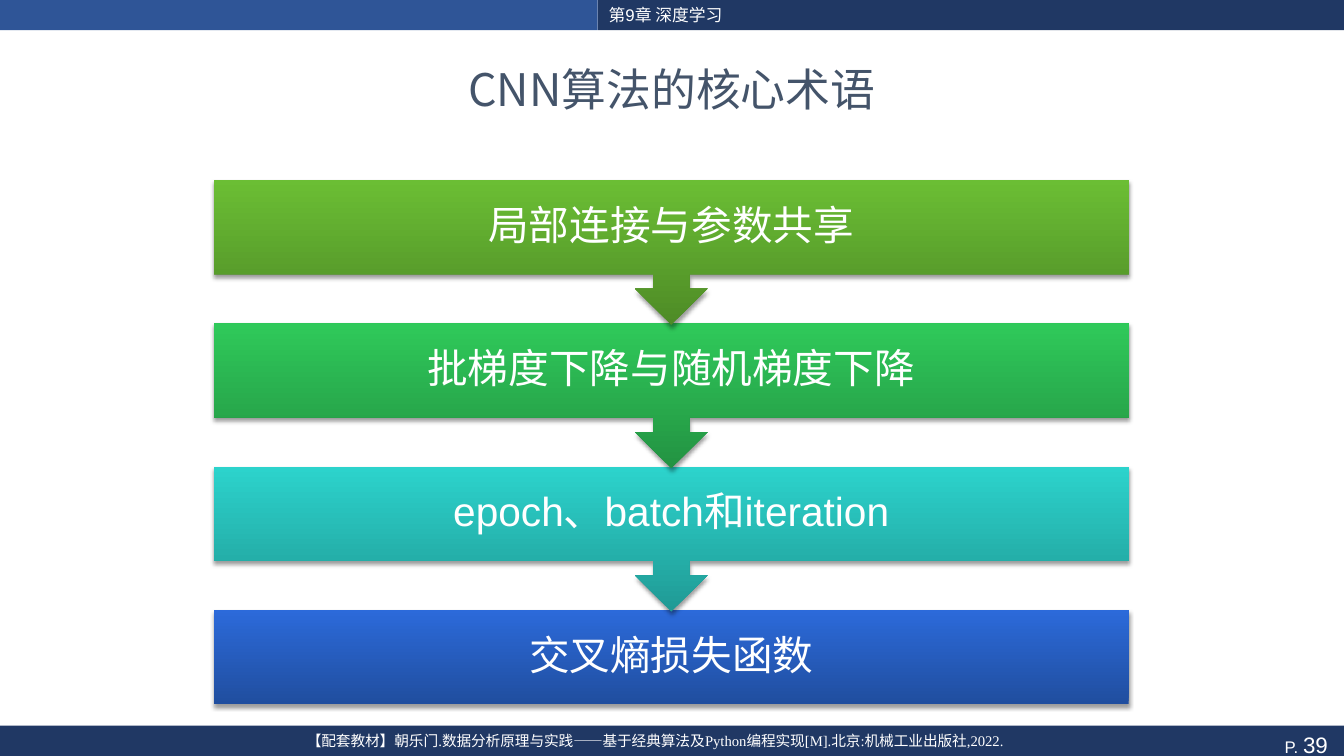
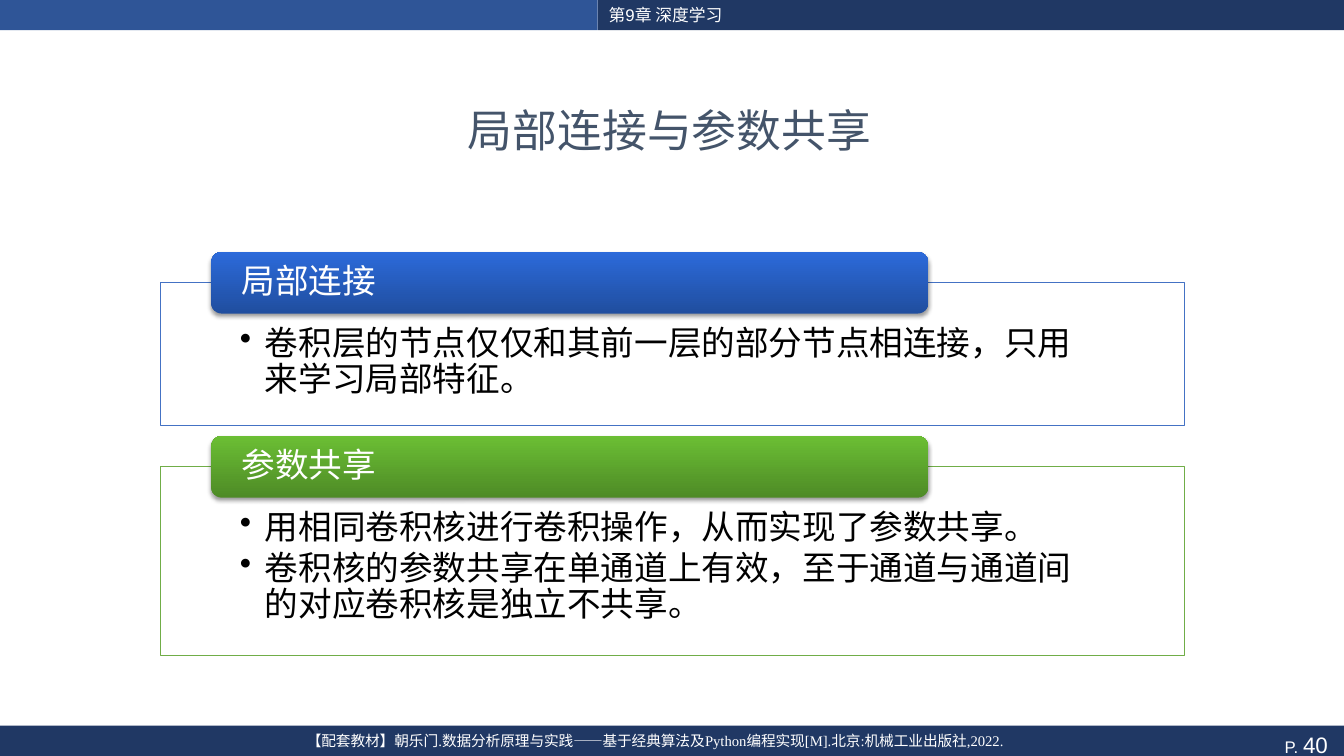
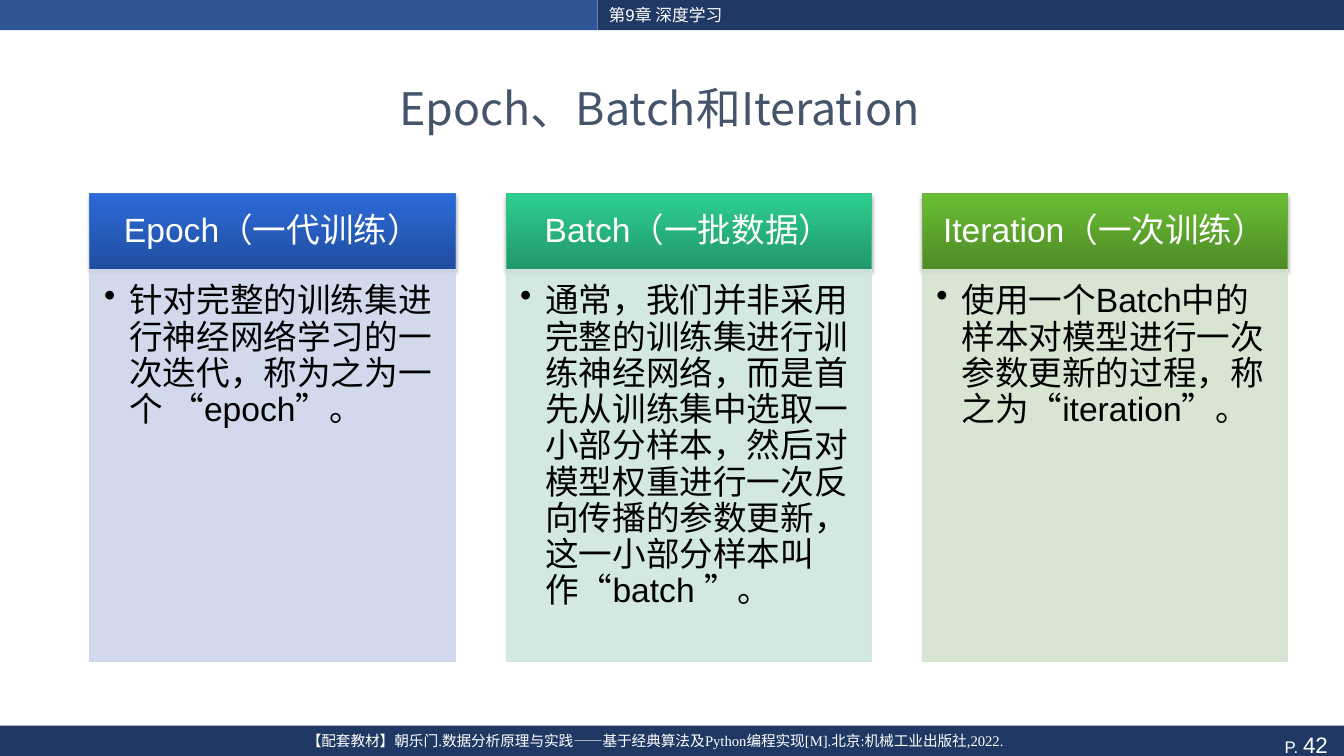
from dataclasses import dataclass

from lxml.etree import SubElement
from pptx import Presentation
from pptx.dml.color import RGBColor
from pptx.enum.shapes import MSO_SHAPE as Shape
from pptx.enum.text import MSO_ANCHOR as Anchor, PP_ALIGN as Align
from pptx.oxml.ns import qn
from pptx.util import Pt


@dataclass(frozen=True)
class Theme:
    navy: str = "203864"
    blue_band: str = "2F5597"
    title: str = "44546A"
    white: str = "FFFFFF"
    black: str = "000000"
    # Gradients run from the bottom colour to the top colour.
    blue: tuple = ("204E9F", "2C6ADA")
    green: tuple = ("4E8B26", "6BBE34")
    emerald: tuple = ("239342", "2FC95A")
    teal: tuple = ("209A95", "2CD3CC")
    mint: tuple = ("21976A", "2DCF91")
    blue_line: str = "4472C4"
    green_line: str = "70AD47"
    mint_line: str = "43BB8D"
    blue_tint: str = "CFD5EA"
    mint_tint: str = "CFE6E0"
    green_tint: str = "D5E3CF"
    body_font: str = "Arial"
    title_font: str = "Noto Sans CJK SC"
    citation_font: str = "Times New Roman"
    title_size: float = 32
    step_size: float = 29
    body_size: float = 24
    page_size: float = 16
    small_size: float = 12
    citation_size: float = 10.5


THEME = Theme()
WIDTH, HEIGHT = 960, 540
BAND_HEIGHT, BAND_SPLIT = 21.6, 427
CHAPTER = "第9章 深度学习"
CITATION = "【配套教材】朝乐门.数据分析原理与实践——基于经典算法及Python编程实现[M].北京:机械工业出版社,2022."


class SlideBuilder:
    def __init__(self):
        self.deck = Presentation()
        self.deck.slide_width, self.deck.slide_height = Pt(WIDTH), Pt(HEIGHT)
        self.page = None

    def start(self, title, title_left, title_top, number):
        """Add a page with its bands, chapter, citation, number and title."""
        self.page = self.deck.slides.add_slide(self.deck.slide_layouts[6])
        footer_top = HEIGHT - BAND_HEIGHT
        self.shape((0, 0, BAND_SPLIT, BAND_HEIGHT), THEME.blue_band)
        footer = self.shape((0, footer_top, WIDTH, BAND_HEIGHT), THEME.navy)
        self.shape((BAND_SPLIT, 0, WIDTH - BAND_SPLIT, BAND_HEIGHT), THEME.navy)
        self.set_text(footer, ["P. "], THEME.small_size, align=Align.RIGHT, anchor=Anchor.TOP)
        span = footer.text_frame.paragraphs[0].add_run()
        span.text = f"{number} "
        self.style_font(span.font, THEME.page_size, THEME.white, THEME.body_font)
        self.label((46, footer_top + 0.7, 844, BAND_HEIGHT), CITATION, THEME.citation_size,
                   font=THEME.citation_font, align=Align.CENTER, anchor=Anchor.TOP)
        self.label((BAND_SPLIT + 0.7, 0, 450, BAND_HEIGHT), CHAPTER, THEME.small_size,
                   anchor=Anchor.TOP)
        self.label((title_left, title_top, 896.4, 64.8), title, THEME.title_size,
                   color=THEME.title, font=THEME.title_font, align=Align.CENTER)

    def shape(self, bounds, fill, kind=Shape.RECTANGLE, line=None, opacity=None):
        """Draw a shape; a pair of fill colours makes a gradient with a shadow."""
        box = self.page.shapes.add_shape(kind, *map(Pt, bounds))
        box.shadow.inherit = False
        if isinstance(fill, tuple):
            box.fill.gradient()
            box.fill.gradient_angle = 90
            for stop, color in zip(box.fill.gradient_stops, fill):
                stop.color.rgb = RGBColor.from_string(color)
            self.cast_shadow(box)
        else:
            box.fill.solid()
            box.fill.fore_color.rgb = RGBColor.from_string(fill)
        if line:
            box.line.color.rgb = RGBColor.from_string(line)
            box.line.width = Pt(0.5)
        else:
            box.line.fill.background()
        if opacity:
            color = box._element.spPr.find(qn("a:solidFill")).find(qn("a:srgbClr"))
            SubElement(color, qn("a:alpha"), val=str(opacity * 1000))
        return box

    def cast_shadow(self, box):
        effects = box._element.spPr.find(qn("a:effectLst"))
        shadow = SubElement(effects, qn("a:outerShdw"), blurRad=str(Pt(3.1)), dist=str(Pt(2)),
                            dir="5400000", algn="ctr", rotWithShape="0")
        color = SubElement(shadow, qn("a:srgbClr"), val=THEME.black)
        SubElement(color, qn("a:alpha"), val="38000")

    def label(self, bounds, text, size, **style):
        box = self.page.shapes.add_textbox(*map(Pt, bounds))
        self.set_text(box, [text], size, **style)

    def set_text(self, box, lines, size, color=THEME.white, font=THEME.body_font,
                 align=Align.LEFT, anchor=Anchor.MIDDLE, insets=(7.2, 3.6, 7.2, 3.6),
                 spacing=None, bullets=False):
        frame = box.text_frame
        frame.text = "\n".join(lines)
        frame.word_wrap = True
        frame.vertical_anchor = anchor
        (frame.margin_left, frame.margin_top,
         frame.margin_right, frame.margin_bottom) = map(Pt, insets)
        for para in frame.paragraphs:
            para.alignment = align
            if spacing:
                para.line_spacing = spacing
            if bullets:
                para.space_after = Pt(3.6)
                self.add_bullet(para)
            for span in para.runs:
                self.style_font(span.font, size, color, font)

    def add_bullet(self, para):
        properties = para._p.get_or_add_pPr()
        properties.set("marL", str(Pt(18)))
        properties.set("indent", str(Pt(-18)))
        SubElement(properties, qn("a:buChar"), char="•")

    def style_font(self, font, size, color, name):
        font.size, font.name = Pt(size), name
        font.color.rgb = RGBColor.from_string(color)

    def heading(self, bounds, text, fill, insets, size=THEME.body_size, align=Align.CENTER,
                **look):
        box = self.shape(bounds, fill, **look)
        self.set_text(box, [text], size, align=align, insets=insets, spacing=0.9)

    def panel(self, bounds, lines, fill, line, insets):
        box = self.shape(bounds, fill, line=line, opacity=90)
        self.set_text(box, lines, THEME.body_size, color=THEME.black, anchor=Anchor.TOP,
                      insets=insets, spacing=0.9, bullets=True)


def add_terms(builder):
    builder.start("CNN算法的核心术语", 31.7, 31, 39)
    steps = [
        ("局部连接与参数共享", THEME.green),
        ("批梯度下降与随机梯度下降", THEME.emerald),
        ("epoch、batch和iteration", THEME.teal),
        ("交叉熵损失函数", THEME.blue),
    ]
    left, top, width, pitch = 152.8, 128.5, 653.5, 102.4
    box_height, callout_height = 67.3, 103.6
    last = len(steps) - 1
    for index, (text, fill) in reversed(list(enumerate(steps))):
        kind, height = ((Shape.RECTANGLE, box_height) if index == last
                        else (Shape.DOWN_ARROW_CALLOUT, callout_height))
        builder.heading((left, top + index * pitch, width, height), text, fill, (16.5,) * 4,
                        size=THEME.step_size, kind=kind)


def add_sharing(builder):
    builder.start("局部连接与参数共享", 30.2, 60.5, 40)
    sections = [
        ("局部连接", THEME.blue, THEME.blue_line, 101.5,
         ["卷积层的节点仅仅和其前一层的部分节点相连接，只用来学习局部特征。"]),
        ("参数共享", THEME.green, THEME.green_line, 134.6,
         ["用相同卷积核进行卷积操作，从而实现了参数共享。",
          "卷积核的参数共享在单通道上有效，至于通道与通道间的对应卷积核是独立不共享。"]),
    ]
    top, tab_height, gap = 180, 44, 8
    for name, fill, line, height, lines in sections:
        panel_top = top + tab_height / 2
        builder.panel((114.5, panel_top, 731.5, height), lines, THEME.white, line,
                      (56.8, 31, 56.8, 13.5))
        builder.heading((151, top, 512, tab_height), name, fill, (19.4, 0, 19.4, 0),
                        align=Align.LEFT, kind=Shape.ROUNDED_RECTANGLE)
        top = panel_top + height + gap


def add_training_units(builder):
    builder.start("Epoch、Batch和Iteration", 23, 44.6, 42)
    columns = [
        ("Epoch（一代训练）", THEME.blue, THEME.blue_line, THEME.blue_tint,
         "针对完整的训练集进行神经网络学习的一次迭代，称为之为一个 “epoch”。"),
        ("Batch（一批数据）", THEME.mint, THEME.mint_line, THEME.mint_tint,
         "通常，我们并非采用完整的训练集进行训练神经网络，而是首先从训练集中选取一小部分样本，"
         "然后对模型权重进行一次反向传播的参数更新，这一小部分样本叫作“batch ”。"),
        ("Iteration（一次训练）", THEME.green, THEME.green_line, THEME.green_tint,
         "使用一个Batch中的样本对模型进行一次参数更新的过程，称之为“iteration”。"),
    ]
    left, top, width, pitch = 64.2, 138, 260.8, 297.2
    heading_height, panel_height = 54.5, 280.3
    for index, (name, fill, line, tint, text) in enumerate(columns):
        x = left + index * pitch
        builder.heading((x, top, width, heading_height), name, fill, (13.7, 7.9, 13.7, 7.9),
                        line=line)
        builder.panel((x, top + heading_height, width, panel_height), [text], tint, tint,
                      (10.2, 10.2, 13.7, 15.2))


def main():
    builder = SlideBuilder()
    add_terms(builder)
    add_sharing(builder)
    add_training_units(builder)
    builder.deck.save("out.pptx")


if __name__ == "__main__":
    main()
